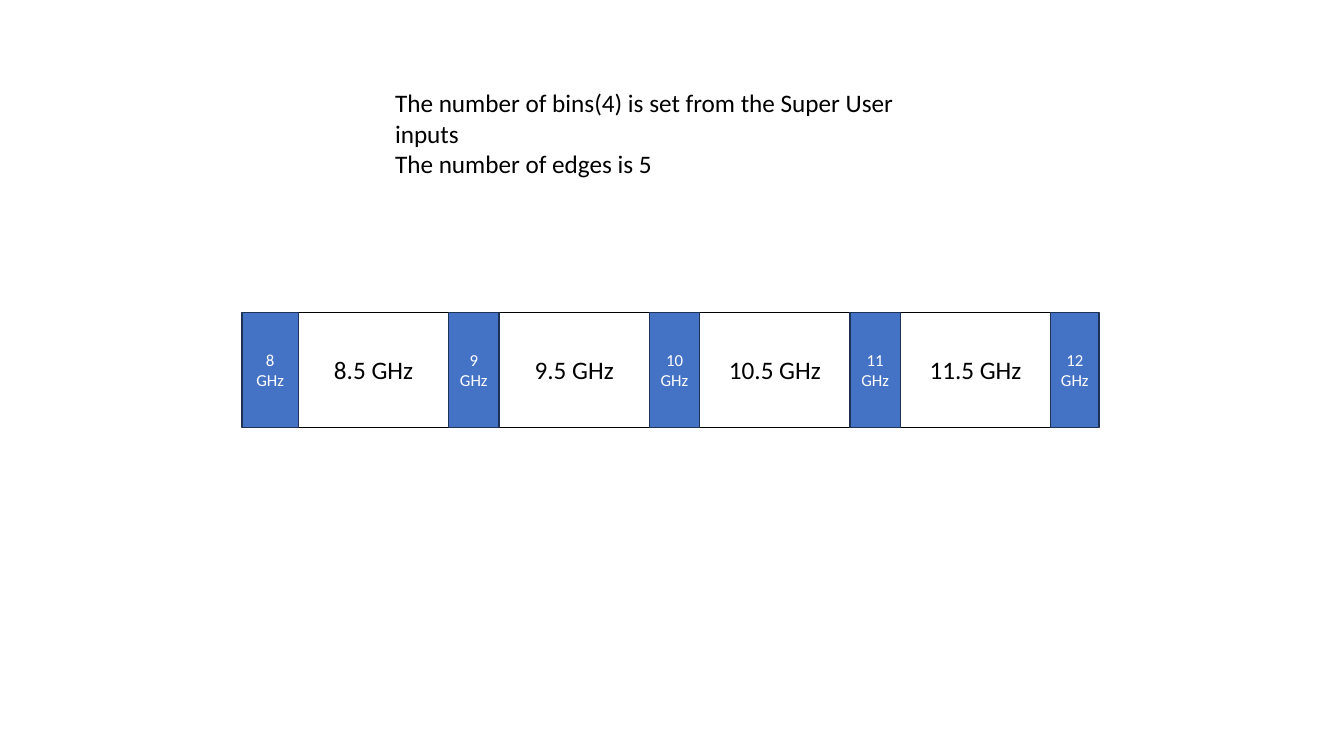
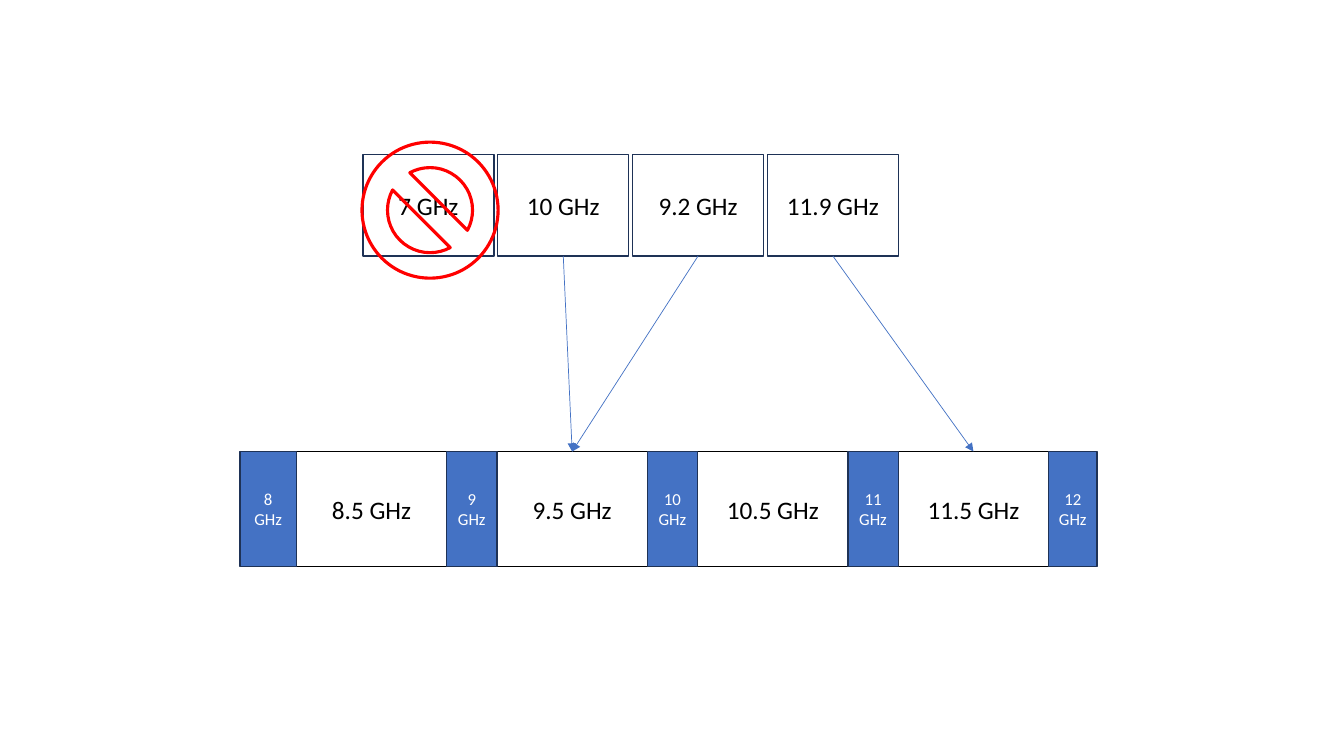
from lxml import etree
from pptx import Presentation
from pptx.dml.color import RGBColor
from pptx.enum.shapes import MSO_CONNECTOR, MSO_SHAPE
from pptx.enum.text import MSO_ANCHOR, MSO_AUTO_SIZE, PP_ALIGN
from pptx.oxml.ns import qn
from pptx.util import Inches, Pt

RECTANGLE = MSO_SHAPE.RECTANGLE
NO_SYMBOL = MSO_SHAPE.NO_SYMBOL
STRAIGHT = MSO_CONNECTOR.STRAIGHT
CENTER = PP_ALIGN.CENTER
MIDDLE = MSO_ANCHOR.MIDDLE
FIT_SHAPE = MSO_AUTO_SIZE.SHAPE_TO_FIT_TEXT

FONT = "Calibri"
BLACK = RGBColor(0x00, 0x00, 0x00)
WHITE = RGBColor(0xFF, 0xFF, 0xFF)
BLUE = RGBColor(0x44, 0x72, 0xC4)
NAVY = RGBColor(0x1E, 0x32, 0x56)
RED = RGBColor(0xFF, 0x00, 0x00)

NOTES = ["The number of bins(4) is set from the Super User inputs",
         "The number of edges is 5"]
EDGES = [("8 GHz", 0.56), ("9 GHz", 0.5), ("10 GHz", 0.5),
         ("11 GHz", 0.5), ("12 GHz", 0.48)]
BINS = ["8.5 GHz", "9.5 GHz", "10.5 GHz", "11.5 GHz"]
SAMPLES = ["7 GHz", "10 GHz", "9.2 GHz", "11.9 GHz"]
SAMPLE_TO_BIN = [("10 GHz", "9.5 GHz"), ("9.2 GHz", "9.5 GHz"),
                 ("11.9 GHz", "11.5 GHz")]

BIN_WIDTH, BAND_HEIGHT = 1.49, 1.14
SAMPLE_LEFT, SAMPLE_TOP, SAMPLE_PITCH = 3.6, 1.53, 1.337
SAMPLE_WIDTH, SAMPLE_HEIGHT = 1.3, 1.01
TOP_SITE, BOTTOM_SITE = 0, 2


def add_text(paragraph, text, size, color):
    run = paragraph.add_run()
    run.text = text
    run.font.name = FONT
    run.font.size = Pt(size)
    run.font.color.rgb = color


def add_box(slide, text, left, top, width, height, fill, line, size, color):
    shape = slide.shapes.add_shape(RECTANGLE, Inches(left), Inches(top),
                                   Inches(width), Inches(height))
    shape.shadow.inherit = False
    shape.fill.solid()
    shape.fill.fore_color.rgb = fill
    shape.line.color.rgb = line
    shape.line.width = Pt(1)
    shape.text_frame.word_wrap = True
    shape.text_frame.vertical_anchor = MIDDLE
    paragraph = shape.text_frame.paragraphs[0]
    paragraph.alignment = CENTER
    add_text(paragraph, text, size, color)
    return shape


def add_band(slide, left, top):
    bin_lefts, edge_lefts = [], []
    for _, edge_width in EDGES:
        edge_lefts.append(left)
        bin_lefts.append(left + edge_width)
        left += edge_width + BIN_WIDTH
    bins = {text: add_box(slide, text, bin_left, top, BIN_WIDTH, BAND_HEIGHT,
                          WHITE, BLACK, 18, BLACK)
            for text, bin_left in zip(BINS, bin_lefts)}
    for (text, width), edge_left in zip(EDGES, edge_lefts):
        add_box(slide, text, edge_left, top, width, BAND_HEIGHT,
                BLUE, NAVY, 12, WHITE)
    return bins


def add_samples(slide):
    return {text: add_box(slide, text, SAMPLE_LEFT + index * SAMPLE_PITCH,
                          SAMPLE_TOP, SAMPLE_WIDTH, SAMPLE_HEIGHT,
                          WHITE, NAVY, 18, BLACK)
            for index, text in enumerate(SAMPLES)}


def add_arrow(slide, source, target):
    connector = slide.shapes.add_connector(STRAIGHT, 0, 0, 0, 0)
    connector.begin_connect(source, BOTTOM_SITE)
    connector.end_connect(target, TOP_SITE)
    connector.line.color.rgb = BLUE
    connector.line.width = Pt(0.5)
    etree.SubElement(connector.line._get_or_add_ln(), qn("a:tailEnd"),
                     type="triangle")
    etree.SubElement(connector._element.spPr, qn("a:effectLst"))


def add_notes(slide):
    box = slide.shapes.add_textbox(Inches(3.82), Inches(0.82),
                                   Inches(5.7), Inches(1.01))
    frame = box.text_frame
    frame.word_wrap = True
    frame.auto_size = FIT_SHAPE
    for index, text in enumerate(NOTES):
        paragraph = frame.add_paragraph() if index else frame.paragraphs[0]
        add_text(paragraph, text, 18, BLACK)


def add_rejection(slide):
    sign = slide.shapes.add_shape(NO_SYMBOL, Inches(3.59), Inches(1.41),
                                  Inches(1.35), Inches(1.35))
    sign.shadow.inherit = False
    sign.fill.background()
    sign.line.color.rgb = RED
    sign.line.width = Pt(2.25)


def main():
    presentation = Presentation()
    presentation.slide_width = Inches(13.33)
    presentation.slide_height = Inches(7.5)
    blank = presentation.slide_layouts[6]

    bins_slide = presentation.slides.add_slide(blank)
    add_band(bins_slide, 2.4, 3.1)
    add_notes(bins_slide)

    sorting_slide = presentation.slides.add_slide(blank)
    bins = add_band(sorting_slide, 2.38, 4.48)
    samples = add_samples(sorting_slide)
    for sample, target in SAMPLE_TO_BIN:
        add_arrow(sorting_slide, samples[sample], bins[target])
    add_rejection(sorting_slide)

    presentation.save("out.pptx")


if __name__ == "__main__":
    main()
